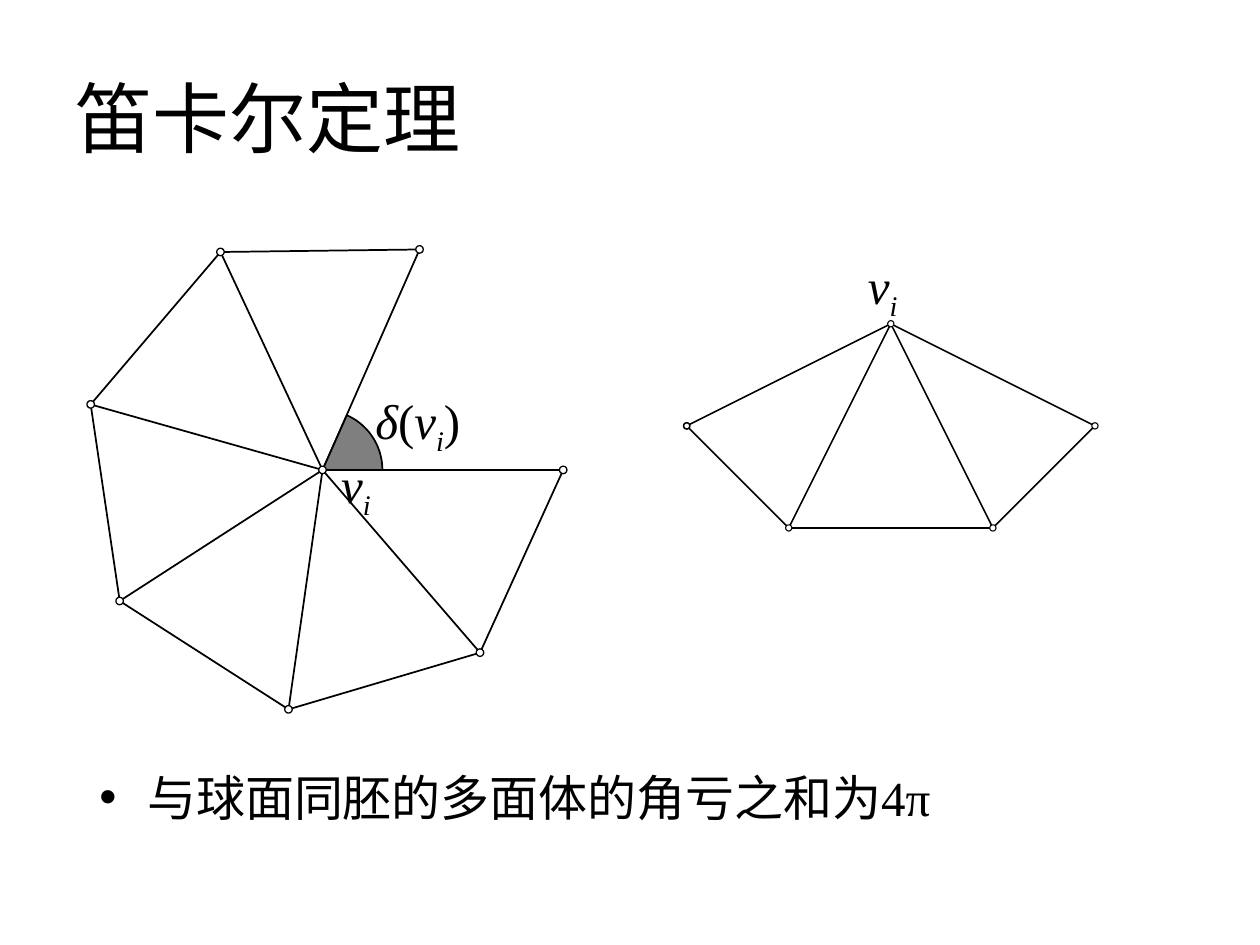
from math import cos, pi, sin
from lxml.etree import SubElement
from pptx import Presentation
from pptx.dml.color import RGBColor
from pptx.enum.shapes import MSO_CONNECTOR, MSO_SHAPE
from pptx.enum.text import MSO_ANCHOR
from pptx.oxml.ns import qn
from pptx.util import Inches, Pt

# Grid of 100 columns by 75 rows
WIDE, HIGH = Inches(10), Inches(7.5)
COLS = 100
HAN, ROMAN = "Noto Sans CJK SC", "Times New Roman"
BLACK, WHITE, GREY = "000000", "FFFFFF", "7F7F7F"

# Vertex label: text, italic, subscript
VERTEX = [("v", True, False), ("i", True, True)]
DEFECT = [("δ", True, False), ("(", False, False), *VERTEX, (")", False, False)]


def grid(n):
    return round(n * WIDE / COLS)


def paint(part, code):
    part.solid()
    part.fore_color.rgb = RGBColor.from_string(code)


def style(shape, fill, width):
    shape.shadow.inherit = False
    paint(shape.fill, fill)
    paint(shape.line.fill, BLACK)
    shape.line.width = Pt(width)


def edge(slide, start, end, width):
    line = slide.shapes.add_connector(
        MSO_CONNECTOR.STRAIGHT, *map(grid, (*start, *end)))
    paint(line.line.fill, BLACK)
    line.line.width = Pt(width)
    SubElement(line._element.spPr, qn("a:effectLst"))


def dot(slide, center, size, width):
    x, y = center
    box = (x - size / 2, y - size / 2, size, size)
    style(slide.shapes.add_shape(MSO_SHAPE.OVAL, *map(grid, box)), WHITE, width)


def sector(slide, center, radius, angle, steps=32):
    x, y = center
    turns = [angle * n / steps for n in range(steps + 1)]
    rim = [(grid(x + radius * cos(t)), grid(y - radius * sin(t))) for t in turns]
    build = slide.shapes.build_freeform(grid(x), grid(y))
    build.add_line_segments(rim, close=True)
    style(build.convert_to_shape(), GREY, 1)


def text(slide, box, runs, size, latin=ROMAN, **frame):
    body = slide.shapes.add_textbox(*map(grid, box)).text_frame
    for key, value in frame.items():
        setattr(body, key, value)
    para = body.paragraphs[0]
    for words, slant, sub in runs:
        run = para.add_run()
        run.text = words
        look = {"name": latin, "size": Pt(size), "italic": slant}
        for key, value in look.items():
            setattr(run.font, key, value)
        paint(run.font.fill, BLACK)
        props = run._r.get_or_add_rPr()
        SubElement(props, qn("a:ea")).set("typeface", HAN)
        if sub:
            props.set("baseline", "-25000")
    return para


def bullet(para, indent):
    props = para._p.get_or_add_pPr()
    for key, value in {"marL": indent, "indent": -indent}.items():
        props.set(key, str(grid(value)))
    SubElement(props, qn("a:buFont")).set("typeface", "Arial")
    SubElement(props, qn("a:buChar")).set("char", "•")


def fan(slide, hub, rim, width):
    for end in rim:
        edge(slide, hub, end, width)
    for pair in zip(rim, rim[1:]):
        edge(slide, *pair, width)


def main():
    deck = Presentation()
    deck.slide_width, deck.slide_height = WIDE, HIGH
    slide = deck.slides.add_slide(deck.slide_layouts[6])

    # Title and theorem
    text(slide, (5, 3, 90, 12.5), [("笛卡尔定理", False, False)], 44, HAN,
         word_wrap=True, vertical_anchor=MSO_ANCHOR.MIDDLE)
    para = text(slide, (6.9, 60.4, 86.2, 7.1),
                [("与球面同胚的多面体的角亏之和为4π", False, False)], 28,
                word_wrap=True)
    bullet(para, 3.8)

    # Unfolded star of triangles with its angle defect
    hub = (25.6, 37.3)
    rim = [(44.7, 37.3), (38.1, 51.8), (22.9, 56.3), (9.5, 47.7),
           (7.2, 32.1), (17.5, 20), (33.3, 19.8)]
    fan(slide, hub, rim, 1)
    sector(slide, hub, 4.75, pi * 66 / 180)
    for spot in [hub, *rim]:
        dot(slide, spot, 0.6, 0 if spot == rim[0] else 0.75)
    text(slide, (26.1, 35.6, 4.5, 5.7), VERTEX, 28, word_wrap=False)
    text(slide, (28.8, 30.5, 8.9, 5.7), DEFECT, 28, word_wrap=False)

    # Folded star, on steps of equal size around its top
    step, (x, y) = 8.1, (70.7, 25.7)
    rim = [(x + a * step, y + b * step)
           for a, b in [(-2, 1), (-1, 2), (1, 2), (2, 1)]]
    fan(slide, (x, y), rim, 0.88)
    for spot in [*rim, (x, y)]:
        dot(slide, spot, 0.5, 0.88 if spot == rim[0] else 0.63)
    text(slide, (67.9, 19.8, 4.5, 5.7), VERTEX, 28, word_wrap=False)

    deck.save("out.pptx")


if __name__ == "__main__":
    main()
